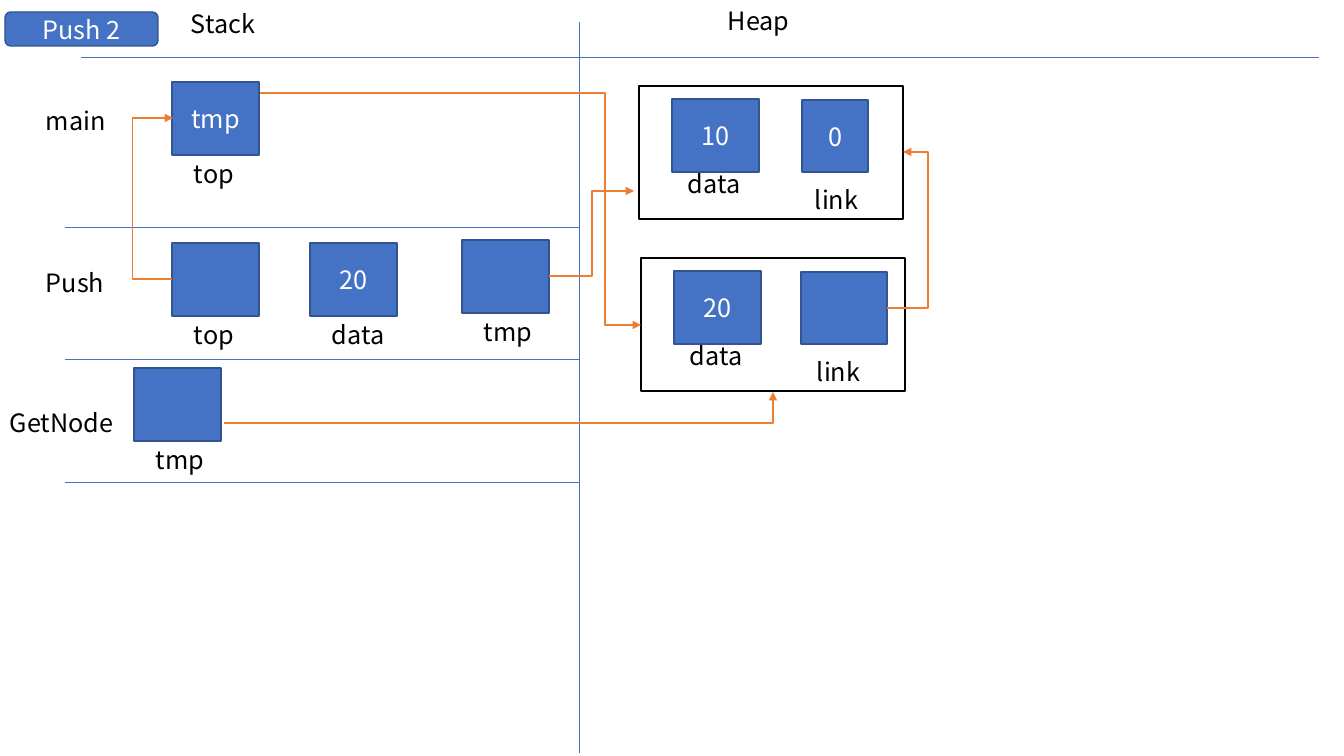
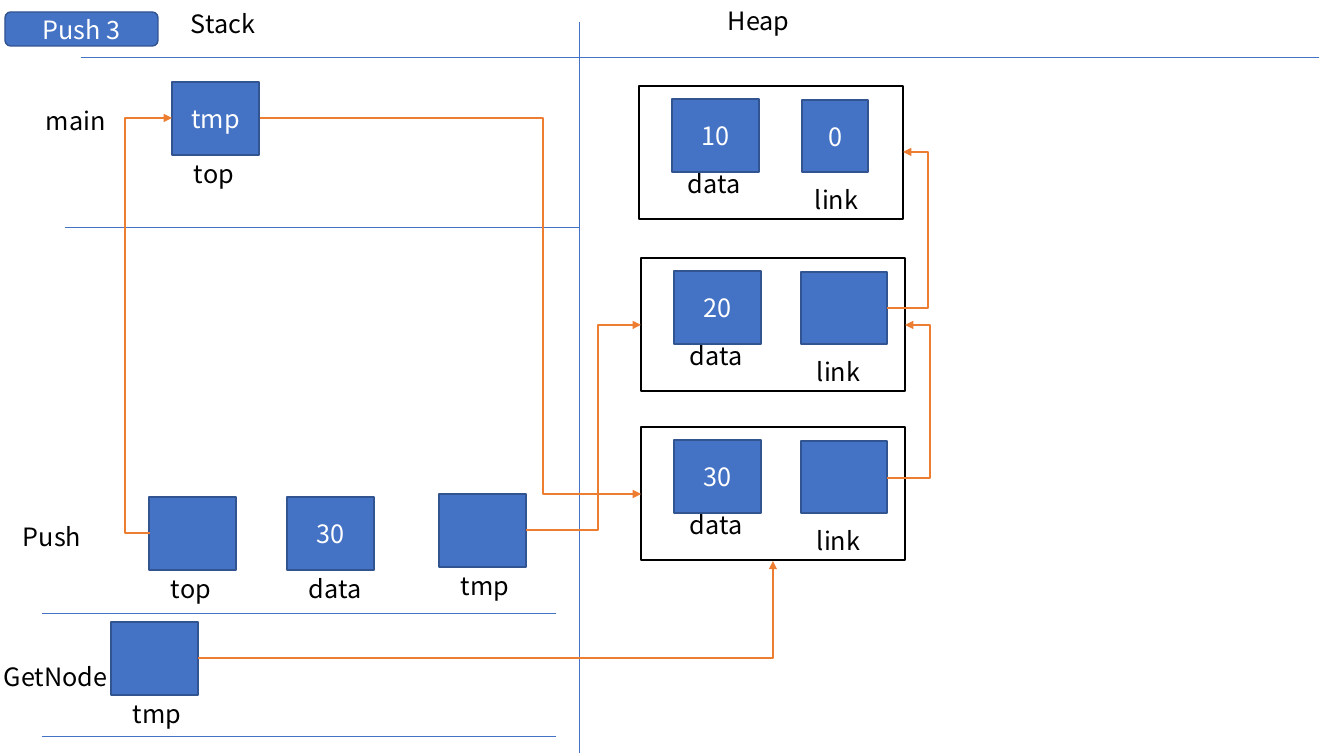
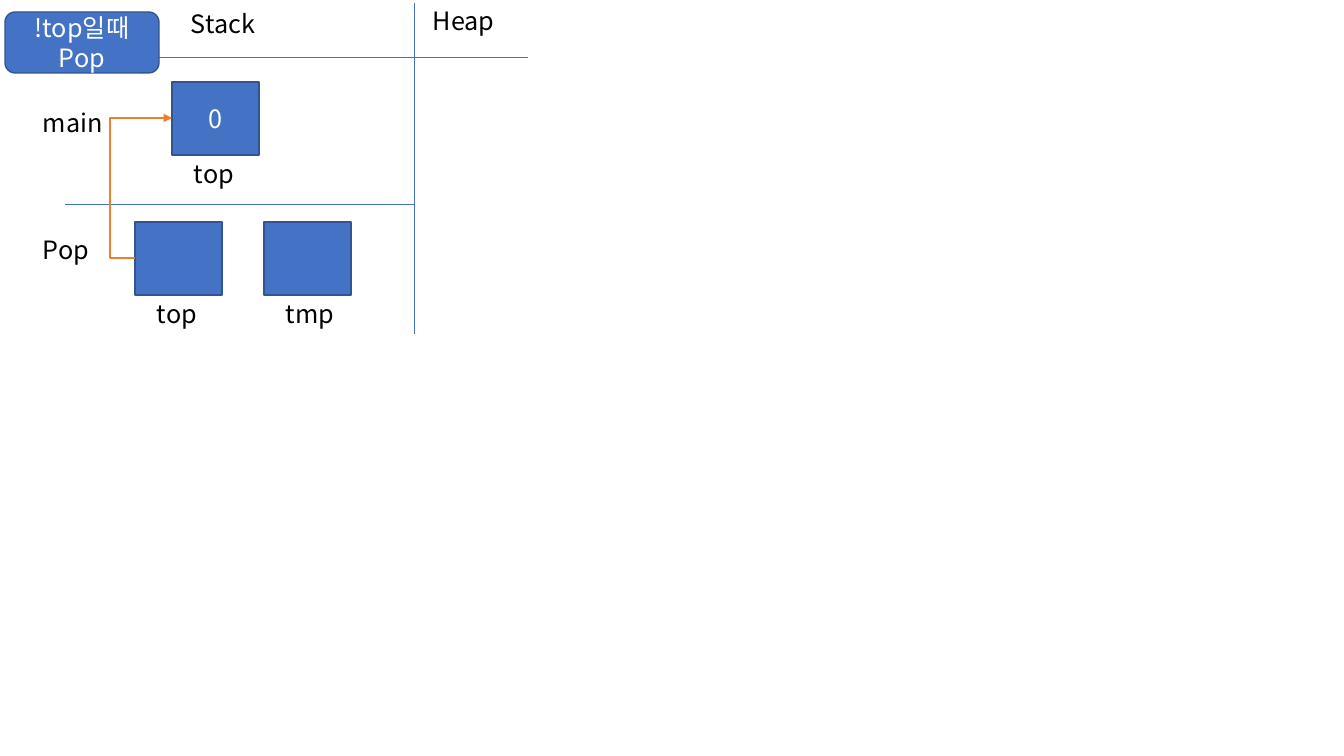
from dataclasses import dataclass
from typing import Optional

from lxml.etree import SubElement
from pptx import Presentation
from pptx.dml.color import RGBColor
from pptx.enum.shapes import MSO_CONNECTOR, MSO_SHAPE
from pptx.enum.text import MSO_ANCHOR, MSO_AUTO_SIZE, PP_ALIGN
from pptx.oxml.ns import qn
from pptx.util import Emu, Pt

SCALE = 914400 / 100.8
FONT = "Noto Sans CJK KR"
SIZE = 18
COLORS = {"blue": "4472C4", "edge": "325491", "wire": "ED7D31",
          "black": "000000", "white": "FFFFFF"}
CELL_W, CELL_H = 87, 73
LABEL_H = 40


@dataclass(frozen=True)
class Label:
    """A line of black text."""
    text: str
    x: int
    y: int
    w: int = 87


@dataclass(frozen=True)
class Cell:
    """A variable on the stack, named below its box."""
    name: str
    x: int
    y: int
    value: str = ""


@dataclass(frozen=True)
class Node:
    """A list node on the heap."""
    x: int
    y: int
    data: str
    link: str = ""


@dataclass(frozen=True)
class Rule:
    """A thin straight line."""
    x1: int
    y1: int
    x2: int
    y2: int


@dataclass(frozen=True)
class Wire:
    """A bent arrow; mid is the x of its upright part, None for one bend."""
    x1: int
    y1: int
    x2: int
    y2: int
    mid: Optional[int] = None


@dataclass(frozen=True)
class Page:
    """All parts of one slide."""
    title: str
    badge: tuple[int, int]
    labels: list[Label]
    cells: list[Cell]
    rules: list[Rule]
    nodes: list[Node]
    wires: list[Wire]


def px(value: float) -> Emu:
    """Turn pixels into EMU."""
    return Emu(round(value * SCALE))


def color(name: str) -> RGBColor:
    """Look up a named colour."""
    return RGBColor.from_string(COLORS[name])


def write(frame, text: str, tint: str) -> None:
    """Add one run of text to a frame."""
    frame.word_wrap = True
    run = frame.paragraphs[0].add_run()
    run.text = text
    run.font.name, run.font.size = FONT, Pt(SIZE)
    run.font.color.rgb = color(tint)
    SubElement(run.font._element, qn("a:ea"), typeface=FONT)


def draw_label(slide, label: Label) -> None:
    """Draw a text label."""
    box = slide.shapes.add_textbox(px(label.x), px(label.y), px(label.w), px(LABEL_H))
    write(box.text_frame, label.text, "black")
    box.text_frame.auto_size = MSO_AUTO_SIZE.SHAPE_TO_FIT_TEXT


def draw_box(slide, x: int, y: int, w: int, h: int, text: str = "",
             fill: str = "blue", edge: str = "edge", kind=MSO_SHAPE.RECTANGLE) -> None:
    """Draw a filled box with centred white text."""
    box = slide.shapes.add_shape(kind, px(x), px(y), px(w), px(h))
    box.shadow.inherit = False
    box.fill.solid()
    box.fill.fore_color.rgb = color(fill)
    box.line.color.rgb = color(edge)
    box.line.width = Pt(1)
    if text:
        write(box.text_frame, text, "white")
        box.text_frame.vertical_anchor = MSO_ANCHOR.MIDDLE
        box.text_frame.paragraphs[0].alignment = PP_ALIGN.CENTER


def draw_cell(slide, cell: Cell) -> None:
    """Draw a stack variable."""
    draw_label(slide, Label(cell.name, cell.x + 12, cell.y + 71, 76))
    draw_box(slide, cell.x, cell.y, CELL_W, CELL_H, cell.value)


def draw_node(slide, node: Node) -> None:
    """Draw a heap node with its data and link fields."""
    x, y = node.x, node.y
    draw_box(slide, x, y, 264, 133, fill="white", edge="black")
    draw_label(slide, Label("data", x + 39, y + 77, 86))
    draw_box(slide, x + 33, y + 13, CELL_W, CELL_H, node.data)
    draw_label(slide, Label("link", x + 166, y + 93, 66))
    inset, wide = (163, 66) if node.link else (160, 86)
    draw_box(slide, x + inset, y + 14, wide, 72, node.link)


def draw_line(slide, kind, part, tint: str, width: float):
    """Draw a connector without a shadow and return its properties."""
    line = slide.shapes.add_connector(kind, px(part.x1), px(part.y1), px(part.x2), px(part.y2))
    line.line.color.rgb = color(tint)
    line.line.width = Pt(width)
    props = line._element.spPr
    SubElement(props, qn("a:effectLst"))
    return props


def draw_wire(slide, wire: Wire) -> None:
    """Draw a bent arrow."""
    props = draw_line(slide, MSO_CONNECTOR.ELBOW, wire, "wire", 1)
    SubElement(props.find(qn("a:ln")), qn("a:tailEnd"), type="triangle")
    shape = props.find(qn("a:prstGeom"))
    if wire.mid is None:
        shape.set("prst", "bentConnector2")
    else:
        bend = round(100000 * (wire.mid - wire.x1) / (wire.x2 - wire.x1))
        SubElement(shape.find(qn("a:avLst")), qn("a:gd"), name="adj1", fmla=f"val {bend}")


def grid(heap: int, right: int, split: Rule, floor: int) -> tuple[list[Label], list[Rule]]:
    """Give the headings and the lines that part stack, heap and main."""
    labels = [Label("Stack", 181, 3), Label("Heap", heap, 0)]
    rules = [Rule(81, 57, right, 57), split, Rule(65, floor, split.x1, floor)]
    return labels, rules


def calls(dx: int, dy: int, value: str, left: int) -> tuple[list[Label], list[Cell], list[Rule]]:
    """Give the Push and GetNode frames, moved by dx and dy."""
    labels = [Label("Push", 36 + dx, 262 + dy), Label("GetNode", left, 402 + dy, 128)]
    cells = [Cell("top", 172 + dx, 243 + dy), Cell("data", 310 + dx, 243 + dy, value),
             Cell("tmp", 462 + dx, 240 + dy), Cell("tmp", 134 + dx, 368 + dy)]
    rules = [Rule(65 + dx, y + dy, 579 + dx, y + dy) for y in (359, 482)]
    return labels, cells, rules


def push(title: str, dx: int, dy: int, left: int, nodes: list[Node], wires: list[Wire]) -> Page:
    """Build a page for one Push step."""
    heads, lines = grid(718, 1319, Rule(579, 22, 579, 753), 227)
    labels, cells, rules = calls(dx, dy, nodes[-1].data, left)
    return Page(title, (153, 34), [*heads, Label("main", 36, 100), *labels],
                [Cell("top", 172, 82, "tmp"), *cells], lines + rules, nodes, wires)


def pop() -> Page:
    """Build the page for Pop on an empty stack."""
    heads, lines = grid(423, 528, Rule(414, 3, 414, 334), 204)
    return Page("!top일때 Pop", (154, 61),
                [*heads, Label("main", 33, 102), Label("Pop", 33, 229)],
                [Cell("top", 172, 82, "0"), Cell("top", 135, 222), Cell("tmp", 264, 222)],
                lines, [], [Wire(135, 258, 172, 118, 110)])


def draw_page(deck, page: Page) -> None:
    """Add a slide and draw its parts from back to front."""
    slide = deck.slides.add_slide(deck.slide_layouts[6])
    for rule in page.rules:
        draw_line(slide, MSO_CONNECTOR.STRAIGHT, rule, "blue", 0.5)
    for label in page.labels:
        draw_label(slide, label)
    for cell in page.cells:
        draw_cell(slide, cell)
    for node in page.nodes:
        draw_node(slide, node)
    draw_box(slide, 5, 12, *page.badge, page.title, kind=MSO_SHAPE.ROUNDED_RECTANGLE)
    for wire in page.wires:
        draw_wire(slide, wire)


NODES = [Node(639, 86, "10", "0"), Node(641, 258, "20"), Node(641, 427, "30")]
BACK = Wire(887, 308, 903, 152, 928)
PAGES = [
    push("Push 2", 0, 0, 0, NODES[:2], [
        Wire(260, 93, 641, 325, 605), Wire(172, 279, 173, 118, 132),
        Wire(549, 276, 634, 191, 592), BACK, Wire(224, 423, 773, 392)]),
    push("Push 3", -23, 254, -6, NODES, [
        Wire(260, 118, 641, 494, 543), Wire(150, 533, 172, 118, 125),
        Wire(526, 530, 641, 325, 598), BACK, Wire(887, 478, 905, 325, 930),
        Wire(198, 658, 773, 561)]),
    pop(),
]

deck = Presentation()
deck.slide_width, deck.slide_height = px(1344), px(756)
for page in PAGES:
    draw_page(deck, page)
deck.save("out.pptx")
